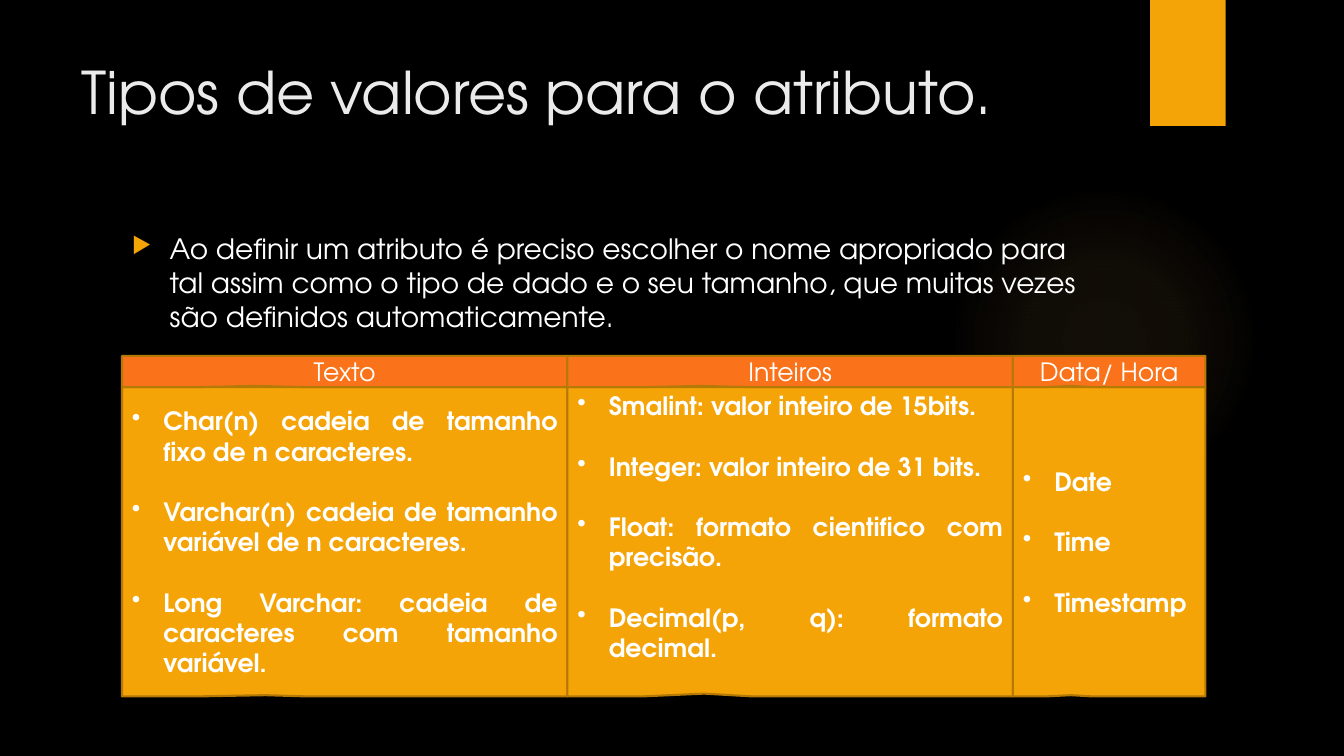
"""Build the slide on attribute value types."""
from lxml import etree
from pptx import Presentation
from pptx.dml.color import RGBColor
from pptx.enum import shapes, text
from pptx.oxml import parse_xml
from pptx.oxml.ns import qn
from pptx.util import Pt

FONT = "TeX Gyre Adventor"
BLACK = RGBColor(0, 0, 0)
WHITE = RGBColor(255, 255, 255)
PALE = RGBColor(0xEB, 0xEB, 0xEB)
AMBER = RGBColor(0xF5, 0xA4, 0x08)
ORANGE = RGBColor(0xFA, 0x73, 0x1A)
BROWN = RGBColor(0xB5, 0x79, 0x06)
GLOW = RGBColor(0xFA, 0xC9, 0x6A)
STOPS = [(0, 7), (36, 6), (69, 0)]

TITLE = "Tipos de valores para o atributo."
INTRO = ("Ao definir um atributo é preciso escolher o nome apropriado para tal "
         "assim como o tipo de dado e o seu tamanho, que muitas vezes são "
         "definidos automaticamente.")
COLS = [
    dict(head="Texto", width=318.2, tip=(-0.178, 0.496), pad=(0, 0), items=[
        "Char(n) cadeia de tamanho fixo de n caracteres.",
        "Varchar(n) cadeia de tamanho variável de n caracteres.",
        "Long Varchar: cadeia de caracteres com tamanho variável."]),
    dict(head="Inteiros", width=318.2, tip=(-0.193, 0.491), pad=(0, 21.6), items=[
        "Smalint: valor inteiro de 15bits.",
        "Integer: valor inteiro de 31 bits.",
        "Float: formato cientifico com precisão.",
        "Decimal(p, q): formato decimal."]),
    dict(head="Data/ Hora", width=137.5, tip=(-0.198, 0.496), pad=(0, 0), items=[
        "Date", "Time", "Timestamp"]),
]
LEFT, TOP, HEAD, BODY = 87.1, 254.2, 22.3, 221
TIP = (-0.203, 0.462)
GAP = 21.6

deck = Presentation()
deck.slide_width, deck.slide_height = Pt(960), Pt(540)
slide = deck.slides.add_slide(deck.slide_layouts[6])
slide.background.fill.solid()
slide.background.fill.fore_color.rgb = BLACK


def draw(kind, box, fill):
    """Add a filled shape without outline or shadow."""
    shape = slide.shapes.add_shape(kind, *map(Pt, box))
    shape.shadow.inherit = False
    shape.fill.solid()
    shape.fill.fore_color.rgb = fill
    shape.line.fill.background()
    return shape


def write(shape, lines, size, color, align, bold=False, gap=0):
    """Put styled paragraphs into a shape."""
    frame = shape.text_frame
    frame.word_wrap = True
    frame.text = "\n".join(lines)
    for i, para in enumerate(frame.paragraphs):
        para.alignment = align
        para.space_before = Pt(gap if i else 0)
        font = para.runs[0].font
        font.name, font.size, font.bold = FONT, Pt(size), bold
        font.color.rgb = color
    return frame


def bullet(para, mark, indent, color=None, scale=100):
    """Give a paragraph a hanging bullet."""
    props = para._p.get_or_add_pPr()
    props.set("marL", str(Pt(indent)))
    props.set("indent", str(-Pt(indent)))
    if color is not None:
        tint = etree.SubElement(props, qn("a:buClr"))
        etree.SubElement(tint, qn("a:srgbClr"), val=str(color))
    etree.SubElement(props, qn("a:buSzPct"), val=str(scale * 1000))
    etree.SubElement(props, qn("a:buChar"), char=mark)


def cell(box, fill, tip, pad):
    """Add one outlined callout of the grid."""
    shape = draw(shapes.MSO_SHAPE.RECTANGULAR_CALLOUT, box, fill)
    shape.adjustments[0], shape.adjustments[1] = tip
    shape.line.color.rgb = BROWN
    shape.line.width = Pt(1.5)
    frame = shape.text_frame
    frame.margin_top, frame.margin_bottom = map(Pt, pad)
    frame.vertical_anchor = text.MSO_ANCHOR.MIDDLE
    return shape


def label(box, line, size, color):
    """Add a text box with one left-aligned paragraph."""
    shape = slide.shapes.add_textbox(*map(Pt, box))
    return write(shape, [line], size, color, text.PP_ALIGN.LEFT)


glow = draw(shapes.MSO_SHAPE.OVAL, (677.5, 131.8, 221.8, 221.8), GLOW)
stops = "".join(
    f'<a:gs pos="{pos * 1000}"><a:srgbClr val="{GLOW}">'
    f'<a:alpha val="{alpha * 1000}"/></a:srgbClr></a:gs>' for pos, alpha in STOPS)
grad = parse_xml(
    '<a:gradFill xmlns:a="http://schemas.openxmlformats.org/drawingml/2006/main">'
    f'<a:gsLst>{stops}</a:gsLst><a:path path="circle">'
    '<a:fillToRect l="50000" t="50000" r="50000" b="50000"/></a:path></a:gradFill>')
solid = glow._element.spPr.find(qn("a:solidFill"))
solid.getparent().replace(solid, grad)

draw(shapes.MSO_SHAPE.RECTANGLE, (821.5, 0, 54, 90), AMBER)
label((51.1, 36, 740.9, 110.2), TITLE, 42, PALE)
intro = label((LEFT, 162, 704.2, 90), INTRO, 20, WHITE)
bullet(intro.paragraphs[0], "▶", 27, AMBER, 80)

x = LEFT
for col in COLS:
    wide = col["width"]
    body = cell((x, TOP + HEAD, wide, BODY), AMBER, col["tip"], col["pad"])
    frame = write(body, col["items"], 18, WHITE, text.PP_ALIGN.JUSTIFY, True, GAP)
    for para in frame.paragraphs:
        bullet(para, "•", 22.5)
    head = cell((x, TOP, wide, HEAD), ORANGE, TIP, (0, 0))
    write(head, [col["head"]], 18, WHITE, text.PP_ALIGN.CENTER)
    x += wide

deck.save("out.pptx")
